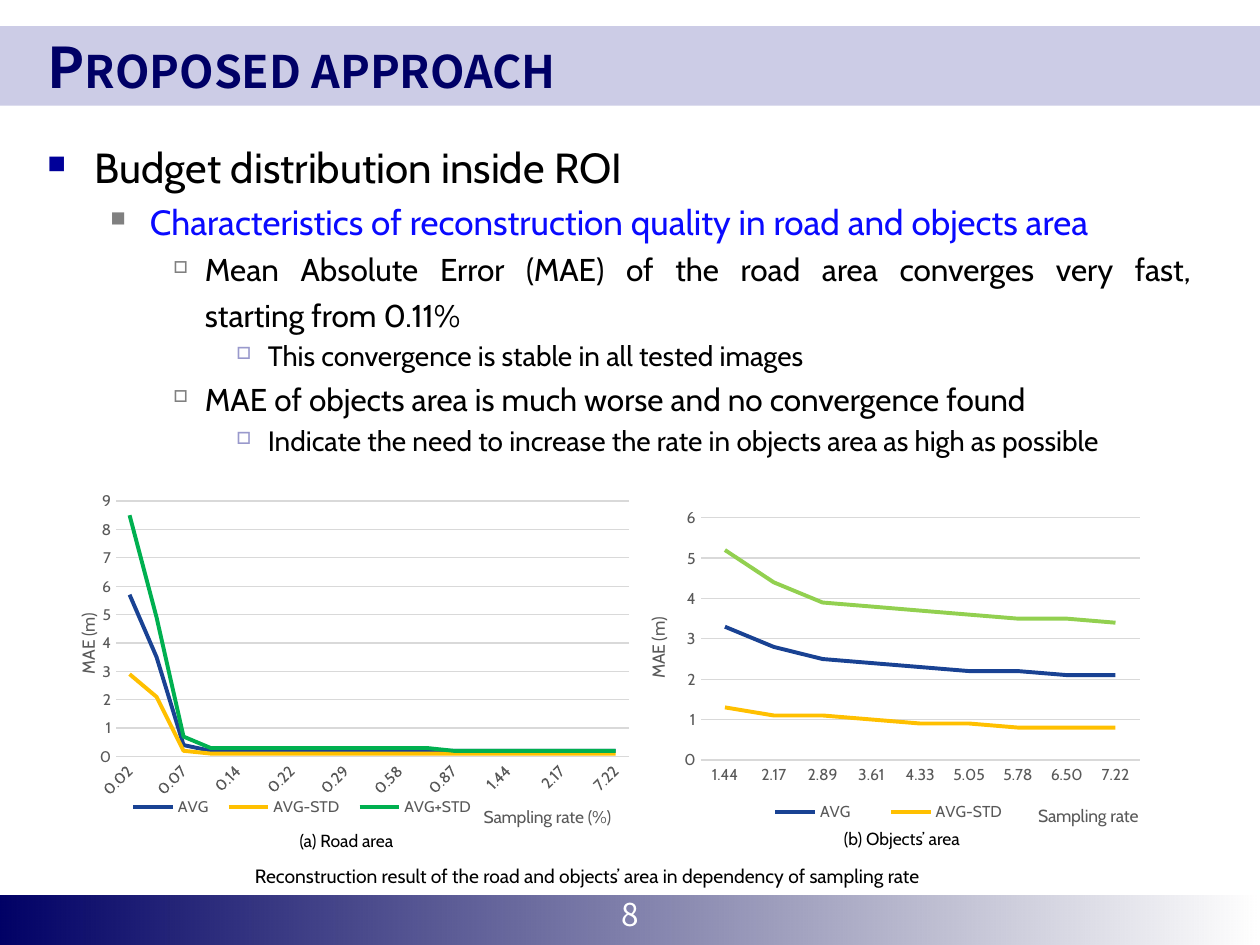
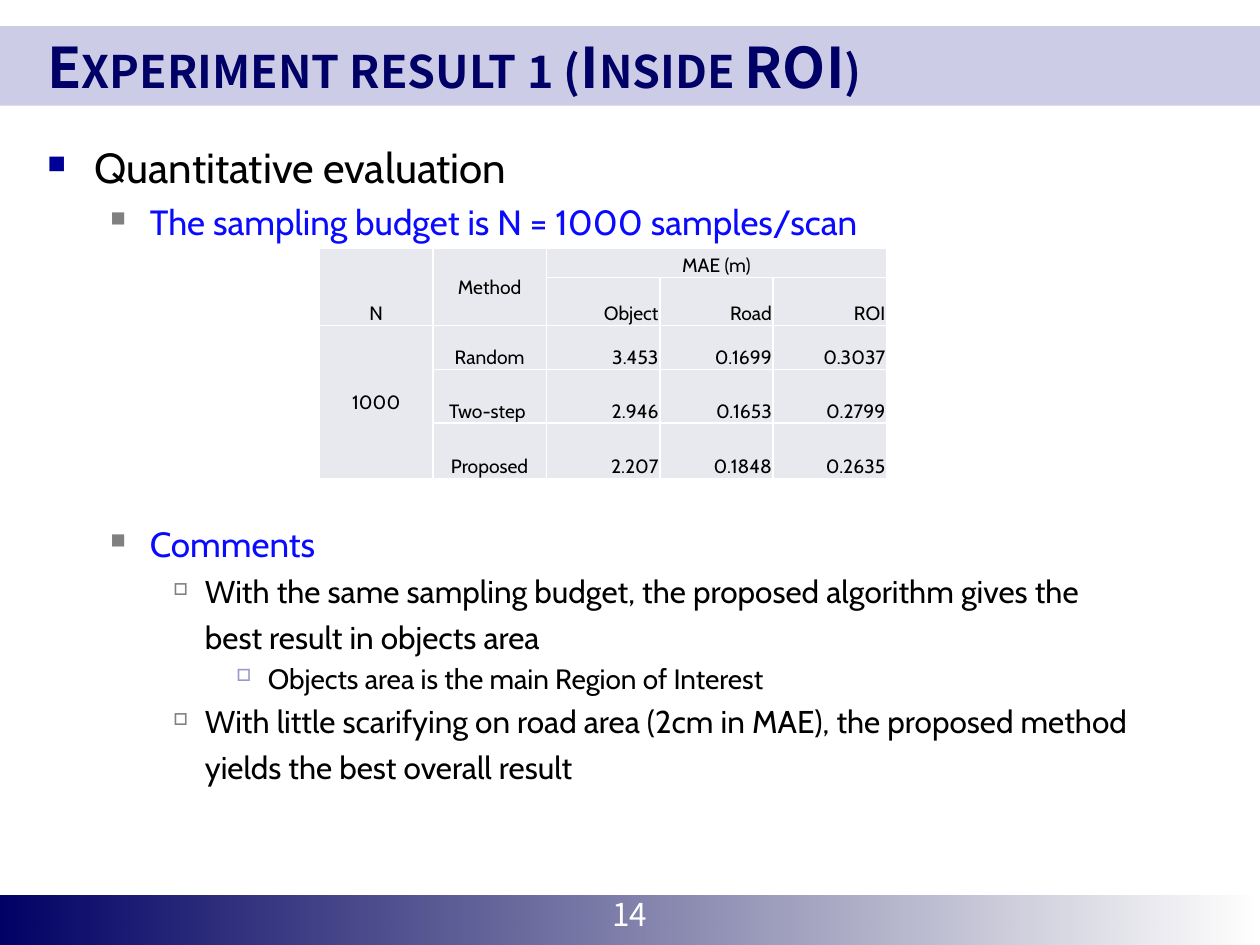
from lxml.etree import SubElement
from pptx import Presentation
from pptx.chart.data import CategoryChartData
from pptx.dml.color import RGBColor
from pptx.enum.chart import XL_CHART_TYPE as ChartType
from pptx.enum.chart import XL_LEGEND_POSITION as LegendPosition
from pptx.enum.chart import XL_TICK_MARK as TickMark
from pptx.enum.shapes import MSO_SHAPE as Shape
from pptx.enum.text import MSO_ANCHOR as Anchor
from pptx.enum.text import PP_ALIGN as Align
from pptx.oxml.ns import qn
from pptx.util import Pt

# Shared style
NAVY, DARK, PALE, WHITE, BLACK = "000066", "000049", "CCCCE6", "FFFFFF", "000000"
BLUE, GRAY, GRID, CELL = "0A0AFF", "595959", "D9D9D9", "E8E9EE"
AVG, LOW, HIGH_ROAD, HIGH_OBJECTS = "194293", "FFC000", "00B050", "92D050"
HEAD_FONT, BODY_FONT = "Noto Sans CJK KR", "Cabin"
WIDTH, HEIGHT = 720, 540
MARGIN, CONTENT = 20, 680

# Per level: size, colour, left, hanging, line spacing, space before,
# bullet, bullet colour, bullet percent
LEVELS = [
    (24, BLACK, 27, 27, 1.2, 0, "■", "000099", 60),
    (20, BLUE, 58.5, 22.5, 1.2, 0, "■", "808080", 60),
    (18, BLACK, 90, 18, 1.2, 0, "□", "808080", 52),
    (16, BLACK, 126, 18, 1.0, 3.2, "□", "9999CC", 60),
]


def color(code):
    return RGBColor.from_string(code)


def style_font(font, size, code=BLACK, name=BODY_FONT, bold=False):
    font.size, font.name, font.bold = Pt(size), name, bold
    font.color.rgb = color(code)


def add_text(page, text, left, top, width, height, size, code=BLACK,
             name=BODY_FONT, bold=False, align=Align.LEFT, wrap=True):
    box = page.shapes.add_textbox(Pt(left), Pt(top), Pt(width), Pt(height))
    frame = box.text_frame
    frame.word_wrap = wrap
    frame.text = text
    para = frame.paragraphs[0]
    para.alignment = align
    style_font(para.runs[0].font, size, code, name, bold)
    return box


def add_band(page, top, height):
    band = page.shapes.add_shape(Shape.RECTANGLE, 0, Pt(top), Pt(WIDTH), Pt(height))
    band.shadow.inherit = False
    band.line.fill.background()
    return band


def add_page(deck, title, number):
    page = deck.slides.add_slide(deck.slide_layouts[6])
    # Title band, and footer band that fades out to the right
    band = add_band(page, 15, 45.36)
    band.fill.solid()
    band.fill.fore_color.rgb = color(PALE)
    footer = add_band(page, 511.5, 28.5)
    footer.fill.gradient()
    footer.fill.gradient_angle = 0
    for stop, code, position in zip(footer.fill.gradient_stops, (NAVY, DARK), (0, 1)):
        stop.color.rgb = color(code)
        stop.position = position
    last_color = footer._element.findall(".//" + qn("a:srgbClr"))[-1]
    SubElement(last_color, qn("a:alpha")).set("val", "0")
    # Page number and title
    add_text(page, str(number), 0, 507.8, WIDTH, 28.8, 18, WHITE, HEAD_FONT,
             align=Align.CENTER)
    box = add_text(page, title, MARGIN, 15, CONTENT, 45.36, 32, NAVY,
                   HEAD_FONT, bold=True)
    box.text_frame.vertical_anchor = Anchor.MIDDLE
    box.text_frame.paragraphs[0].runs[0]._r.get_or_add_rPr().set("cap", "small")
    return page


def add_bullet(para, code, percent, char):
    props = para._p.get_or_add_pPr()
    SubElement(SubElement(props, qn("a:buClr")), qn("a:srgbClr")).set("val", code)
    SubElement(props, qn("a:buSzPct")).set("val", str(percent * 1000))
    SubElement(props, qn("a:buChar")).set("char", char)


def add_outline(page, items, justified=False):
    """Fill the body with (level, text) items; return their paragraphs."""
    box = page.shapes.add_textbox(Pt(MARGIN), Pt(71.8), Pt(CONTENT), Pt(426))
    frame = box.text_frame
    frame.word_wrap = True
    paras = []
    for index, (level, text) in enumerate(items):
        para = frame.add_paragraph() if index else frame.paragraphs[0]
        size, code, left, hanging, spacing, before, char, mark, percent = LEVELS[level]
        para.text = text
        para.level = level
        para.line_spacing = spacing
        para.space_before = Pt(before)
        para.alignment = Align.JUSTIFY if justified and level == 2 else Align.LEFT
        props = para._p.get_or_add_pPr()
        props.set("marL", str(Pt(left)))
        props.set("indent", str(-Pt(hanging)))
        add_bullet(para, mark, percent, char)
        for span in para.runs:
            style_font(span.font, size, code)
        paras.append(para)
    return paras


def set_layout(part, index, inner=False, **fractions):
    """Place a chart part by fractions x, y, w, h of the chart area."""
    for old in part.findall(qn("c:layout")):
        part.remove(old)
    layout = part.makeelement(qn("c:layout"), {})
    part.insert(index, layout)
    manual = SubElement(layout, qn("c:manualLayout"))
    if inner:
        SubElement(manual, qn("c:layoutTarget")).set("val", "inner")
    for axis in "xy":
        SubElement(manual, qn(f"c:{axis}Mode")).set("val", "edge")
    for key, value in fractions.items():
        SubElement(manual, qn(f"c:{key}")).set("val", str(value))


def add_axis_title(axis, text, x, y, rotation=0):
    title = axis.axis_title
    title.text_frame.text = text
    style_font(title.text_frame.paragraphs[0].runs[0].font, 10, GRAY)
    body = title._element.find(".//" + qn("a:bodyPr"))
    body.set("rot", str(rotation * 60000))
    body.set("vert", "horz")
    set_layout(title._element, 1, x=x, y=y)


def add_line_chart(page, frame, categories, series, top_value, plot):
    data = CategoryChartData(number_format="0.0")
    data.categories = categories
    for name, values, _ in series:
        data.add_series(name, values)
    chart = page.shapes.add_chart(ChartType.LINE, *map(Pt, frame), data).chart
    chart.has_title = False
    style_font(chart.font, 9, GRAY)
    chart.plots[0].vary_by_categories = False
    for line, (_, _, code) in zip(chart.plots[0].series, series):
        line.smooth = False
        line.format.line.width = Pt(2.25)
        line.format.line.color.rgb = color(code)
    # Axes
    values_axis, names_axis = chart.value_axis, chart.category_axis
    values_axis.minimum_scale, values_axis.maximum_scale = 0, top_value
    values_axis.major_unit = 1
    values_axis.tick_labels.number_format = "0"
    values_axis.tick_labels.number_format_is_linked = False
    values_axis.format.line.fill.background()
    for line in (values_axis.major_gridlines.format.line, names_axis.format.line):
        line.width = Pt(0.75)
        line.color.rgb = color(GRID)
    for axis in (values_axis, names_axis):
        axis.major_tick_mark = axis.minor_tick_mark = TickMark.NONE
        style_font(axis.tick_labels.font, 9, GRAY)
    x, y, w, h = plot
    set_layout(chart._chartSpace.find(".//" + qn("c:plotArea")), 0, True,
               x=x, y=y, w=w, h=h)
    return chart


def add_legend(chart, x, y, w, h):
    chart.has_legend = True
    legend = chart.legend
    legend.position = LegendPosition.BOTTOM
    legend.include_in_layout = False
    style_font(legend.font, 9, GRAY)
    set_layout(legend._element, 1, x=x, y=y, w=w, h=h)
    return legend


def slant_labels(axis, skip):
    element = axis._element
    element.find(qn("c:txPr")).find(qn("a:bodyPr")).set("rot", "-2700000")
    offset = element.find(qn("c:lblOffset"))
    offset.addnext(element.makeelement(qn("c:tickLblSkip"), {"val": str(skip)}))


def hide_legend_entry(legend, index):
    entry = legend._element.makeelement(qn("c:legendEntry"), {})
    legend._element.insert(1, entry)
    SubElement(entry, qn("c:idx")).set("val", str(index))
    SubElement(entry, qn("c:delete")).set("val", "1")


def style_cell(cell, align, anchor):
    cell.margin_left = cell.margin_right = cell.margin_top = Pt(0.72)
    cell.margin_bottom = 0
    cell.vertical_anchor = anchor
    props = cell._tc.get_or_add_tcPr()
    for side in ("lnL", "lnR", "lnT", "lnB"):
        border = SubElement(props, qn(f"a:{side}"), w=str(Pt(1)))
        fill = SubElement(border, qn("a:solidFill"))
        SubElement(fill, qn("a:srgbClr")).set("val", WHITE)
    cell.fill.solid()
    cell.fill.fore_color.rgb = color(CELL)
    para = cell.text_frame.paragraphs[0]
    para.alignment = align
    style_font(para.font, 11)
    for span in para.runs:
        style_font(span.font, 11)


def add_result_table(page, rows, heights, merges, middle):
    columns = len(rows[0])
    table = page.shapes.add_table(len(rows), columns, Pt(182.6), Pt(142),
                                  Pt(324), Pt(sum(heights))).table
    table.first_row = table.horz_banding = False
    for column in table.columns:
        column.width = Pt(324 / columns)
    for r, (row, height) in enumerate(zip(rows, heights)):
        table.rows[r].height = Pt(height)
        for c, text in enumerate(row):
            cell = table.cell(r, c)
            cell.text = text
            align = Align.CENTER if c < 2 or r == 0 else Align.RIGHT
            style_cell(cell, align, Anchor.MIDDLE if (r, c) in middle else Anchor.BOTTOM)
    for first, last in merges:
        table.cell(*first).merge(table.cell(*last))


def build_approach(deck):
    page = add_page(deck, "Proposed approach", 8)
    add_outline(page, [
        (0, "Budget distribution inside ROI"),
        (1, "Characteristics of reconstruction quality in road and objects area"),
        (2, "Mean Absolute Error (MAE) of the road area converges very fast, \n"
            "starting from 0.11%"),
        (3, "This convergence is stable in all tested images"),
        (2, "MAE of objects area is much worse and no convergence found"),
        (3, "Indicate the need to increase the rate in objects area as high as possible"),
    ], justified=True)
    # Captions
    add_text(page, "(a) Road area", 164.16, 470.88, 76.32, 19.44, 10, wrap=False)
    add_text(page, "Reconstruction result of the road and objects’ area in dependency "
             "of sampling rate", 138.5, 490.32, 421.2, 20.88, 11, wrap=False)
    add_text(page, "(b) Objects’ area", 475.2, 469.44, 89.28, 19.44, 10, wrap=False)
    # Road chart
    rates = ("0.02 0.04 0.07 0.11 0.14 0.18 0.22 0.25 0.29 0.36 0.58 0.72 0.87 "
             "1.08 1.44 1.81 2.17 3.61 7.22").split()
    road = add_line_chart(page, (41.4, 280.8, 328.32, 195.12), rates, [
        ("AVG", [5.7, 3.5, 0.4] + [0.2] * 16, AVG),
        ("AVG-STD", [2.9, 2.1, 0.2] + [0.1] * 16, LOW),
        ("AVG+STD", [8.5, 4.9, 0.7] + [0.3] * 9 + [0.2] * 7, HIGH_ROAD),
    ], 9, (0.076, 0.023, 0.893, 0.762))
    slant_labels(road.category_axis, 2)
    add_axis_title(road.category_axis, "Sampling rate (%)", 0.71, 0.92)
    add_axis_title(road.value_axis, "MAE (m)", 0, 0.35, -90)
    add_legend(road, 0.08, 0.9, 0.64, 0.07)
    # Objects chart
    rates = "1.44 2.17 2.89 3.61 4.33 5.05 5.78 6.50 7.22".split()
    objects = add_line_chart(page, (367.2, 286.2, 293.04, 190.08), rates, [
        ("AVG", [3.3, 2.8, 2.5, 2.4, 2.3, 2.2, 2.2, 2.1, 2.1], AVG),
        ("AVG-STD", [1.3, 1.1, 1.1, 1, 0.9, 0.9, 0.8, 0.8, 0.8], LOW),
        ("AVG+STD", [5.2, 4.4, 3.9, 3.8, 3.7, 3.6, 3.5, 3.5, 3.4], HIGH_OBJECTS),
    ], 6, (0.113, 0.051, 0.857, 0.728))
    add_axis_title(objects.category_axis, "Sampling rate", 0.765, 0.9)
    add_axis_title(objects.value_axis, "MAE (m)", 0, 0.34, -90)
    hide_legend_entry(add_legend(objects, 0.19, 0.9, 0.58, 0.07), 2)


def build_result(deck):
    page = add_page(deck, "Experiment result 1 (Inside ROI)", 14)
    paras = add_outline(page, [
        (0, "Quantitative evaluation"),
        (1, "The sampling budget is N = 1000 samples/scan"),
        (1, "Comments"),
        (2, "With the same sampling budget, the proposed algorithm gives the \n"
            "best result in objects area"),
        (3, "Objects area is the main Region of Interest"),
        (2, "With little scarifying on road area (2cm in MAE), the proposed method \n"
            "yields the best overall result"),
    ])
    paras[2].space_before = Pt(155.3)  # room for the table
    add_result_table(page, [
        ["N", "Method", "MAE (m)", "", ""],
        ["", "", "Object", "Road", "ROI"],
        ["1000", "Random", "3.453", "0.1699", "0.3037"],
        ["", "Two-step ", "2.946", "0.1653", "0.2799"],
        ["", "Proposed", "2.207", "0.1848", "0.2635"],
    ], [16.5, 27.4, 25.2, 30.6, 31.7],
        merges=[((0, 0), (1, 0)), ((0, 1), (1, 1)), ((0, 2), (0, 4)), ((2, 0), (4, 0))],
        middle={(0, 1), (2, 0)})


def main():
    deck = Presentation()
    deck.slide_width, deck.slide_height = Pt(WIDTH), Pt(HEIGHT)
    build_approach(deck)
    build_result(deck)
    deck.save("out.pptx")


if __name__ == "__main__":
    main()
